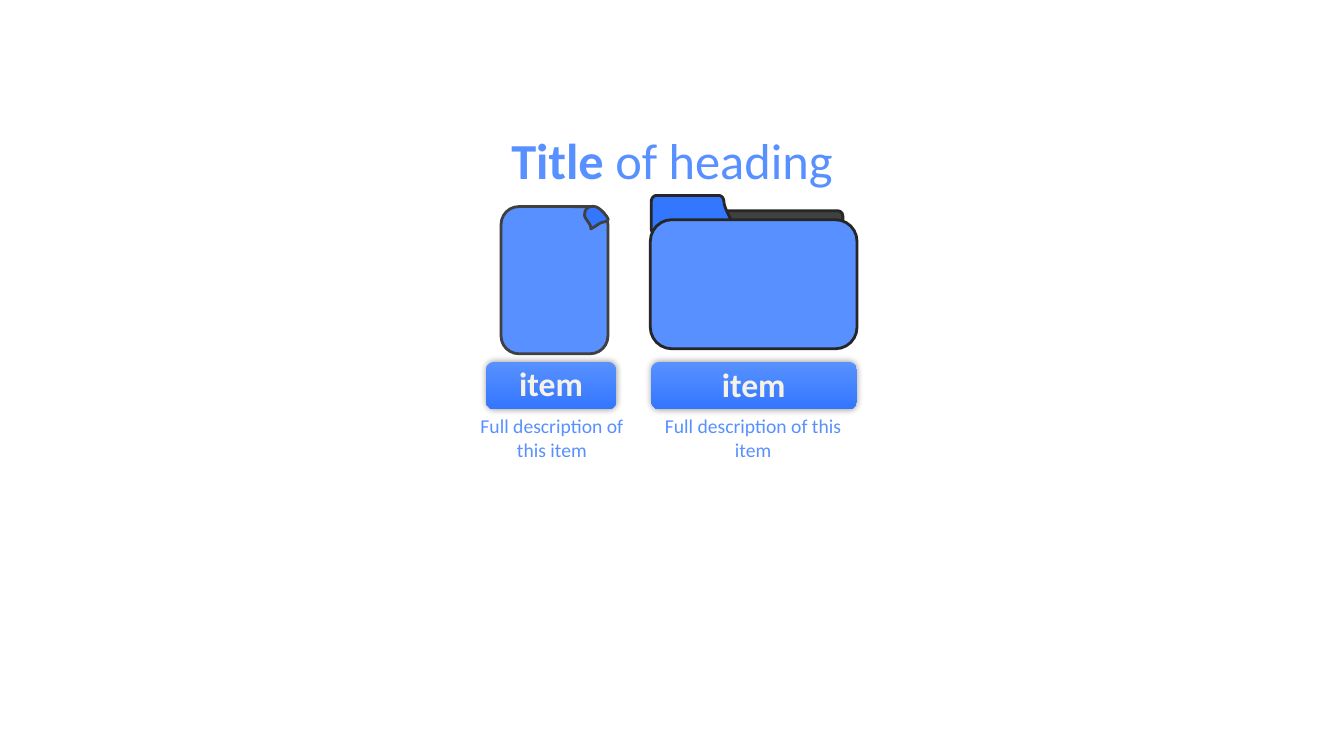
"""Build a slide with a file and a folder icon, each with a label and a description."""
from lxml import etree
from pptx import Presentation
from pptx.dml.color import RGBColor
from pptx.enum.shapes import MSO_SHAPE
from pptx.enum.text import PP_ALIGN
from pptx.oxml.ns import qn
from pptx.util import Inches, Pt

ROUND = MSO_SHAPE.ROUNDED_RECTANGLE
CENTER = PP_ALIGN.CENTER
FONT = "Calibri"
STEPS = 10
HEX = {"light": "5890FF", "deep": "3377FF", "cream": "F5F2E8",
       "gray": "404040", "dark": "262626", "black": "000000"}

TITLE = [("Title", True), (" of heading", False)]
LABEL = "item"
DETAIL = "Full description of this item"

PAGE = (4.97, 2.05, 1.06, 1.46)
BACK = (6.55, 2.09, 1.81, 0.31)
FRONT = (6.45, 2.18, 2.05, 1.28)
CURL = [(5.8, 2.12),
        (5.8, 2.06, 5.86, 2.04, 5.9, 2.05),
        (5.94, 2.05, 6.02, 2.14, 6.03, 2.17),
        (6.04, 2.19, 6, 2.2, 5.96, 2.21),
        (5.92, 2.23, 5.92, 2.24, 5.86, 2.27),
        (5.87, 2.22, 5.78, 2.16, 5.8, 2.12)]
TAB = [(6.46, 2),
       (6.46, 1.97, 6.48, 1.94, 6.51, 1.94),
       (7.13, 1.94),
       (7.16, 1.94, 7.18, 1.97, 7.18, 2),
       (7.18, 2.09, 7.34, 2.31, 7.34, 2.39),
       (7.34, 2.43, 7.16, 2.33, 7.13, 2.33),
       (6.51, 2.33),
       (6.48, 2.33, 6.46, 2.3, 6.46, 2.27)]
ITEMS = [
    {"button": (4.82, 3.59, 1.29, 0.47), "label": (4.82, 3.55, 1.29, 0.5),
     "detail": (4.61, 4.06, 1.73, 0.57)},
    {"button": (6.46, 3.59, 2.04, 0.47), "label": (6.45, 3.56, 2.05, 0.5),
     "detail": (6.45, 4.06, 2.04, 0.57)},
]


def color(name):
    return RGBColor.from_string(HEX[name])


def paint(shape, fill, line):
    shape.shadow.inherit = False
    shape.fill.solid()
    shape.fill.fore_color.rgb = color(fill)
    shape.line.color.rgb = color(line)
    shape.line.width = Pt(2)


def add_round(slide, box):
    return slide.shapes.add_shape(ROUND, *map(Inches, box))


def trace(parts):
    dots = [parts[0]]
    for part in parts[1:]:
        if len(part) == 2:
            dots.append(part)
            continue
        ends = [dots[-1], part[:2], part[2:4], part[4:]]
        for step in range(1, STEPS + 1):
            t = step / STEPS
            mix = ((1 - t) ** 3, 3 * t * (1 - t) ** 2, 3 * t * t * (1 - t), t ** 3)
            dots.append(tuple(sum(m * end[axis] for m, end in zip(mix, ends))
                              for axis in (0, 1)))
    return dots


def add_free(slide, parts):
    dots = [(Inches(x), Inches(y)) for x, y in trace(parts)]
    pen = slide.shapes.build_freeform(*dots[0])
    pen.add_line_segments(dots[1:], close=True)
    return pen.convert_to_shape()


def add_button(slide, box):
    shape = add_round(slide, box)
    shape.line.fill.background()
    shape.fill.gradient()
    shape.fill.gradient_angle = 270
    for stop, name in zip(shape.fill.gradient_stops, ("light", "deep")):
        stop.color.rgb = color(name)
    shape.shadow.inherit = False
    glow = etree.SubElement(shape._element.spPr.find(qn("a:effectLst")),
                            qn("a:outerShdw"), blurRad=str(Pt(5)), dist="0",
                            dir="0", algn="ctr", rotWithShape="0")
    tint = etree.SubElement(glow, qn("a:srgbClr"), val=HEX["black"])
    etree.SubElement(tint, qn("a:alpha"), val="40000")


def add_text(slide, box, runs, size, name):
    frame = slide.shapes.add_textbox(*map(Inches, box)).text_frame
    frame.word_wrap = True
    para = frame.paragraphs[0]
    para.alignment = CENTER
    para.font.name = FONT
    para.font.size = Pt(size)
    para.font.color.rgb = color(name)
    for text, bold in runs:
        run = para.add_run()
        run.text = text
        run.font.bold = bold


def main():
    deck = Presentation()
    deck.slide_width, deck.slide_height = Inches(13.33), Inches(7.5)
    slide = deck.slides.add_slide(deck.slide_layouts[6])
    paint(add_round(slide, PAGE), "light", "gray")
    paint(add_free(slide, CURL), "deep", "gray")
    paint(add_round(slide, BACK), "gray", "dark")
    paint(add_free(slide, TAB), "deep", "dark")
    paint(add_round(slide, FRONT), "light", "dark")
    for item in ITEMS:
        add_button(slide, item["button"])
        add_text(slide, item["label"], [(LABEL, True)], 24, "cream")
    add_text(slide, (0, 1.23, 13.33, 0.71), TITLE, 36, "light")
    for item in ITEMS:
        add_text(slide, item["detail"], [(DETAIL, False)], 14, "light")
    deck.save("out.pptx")


if __name__ == "__main__":
    main()
